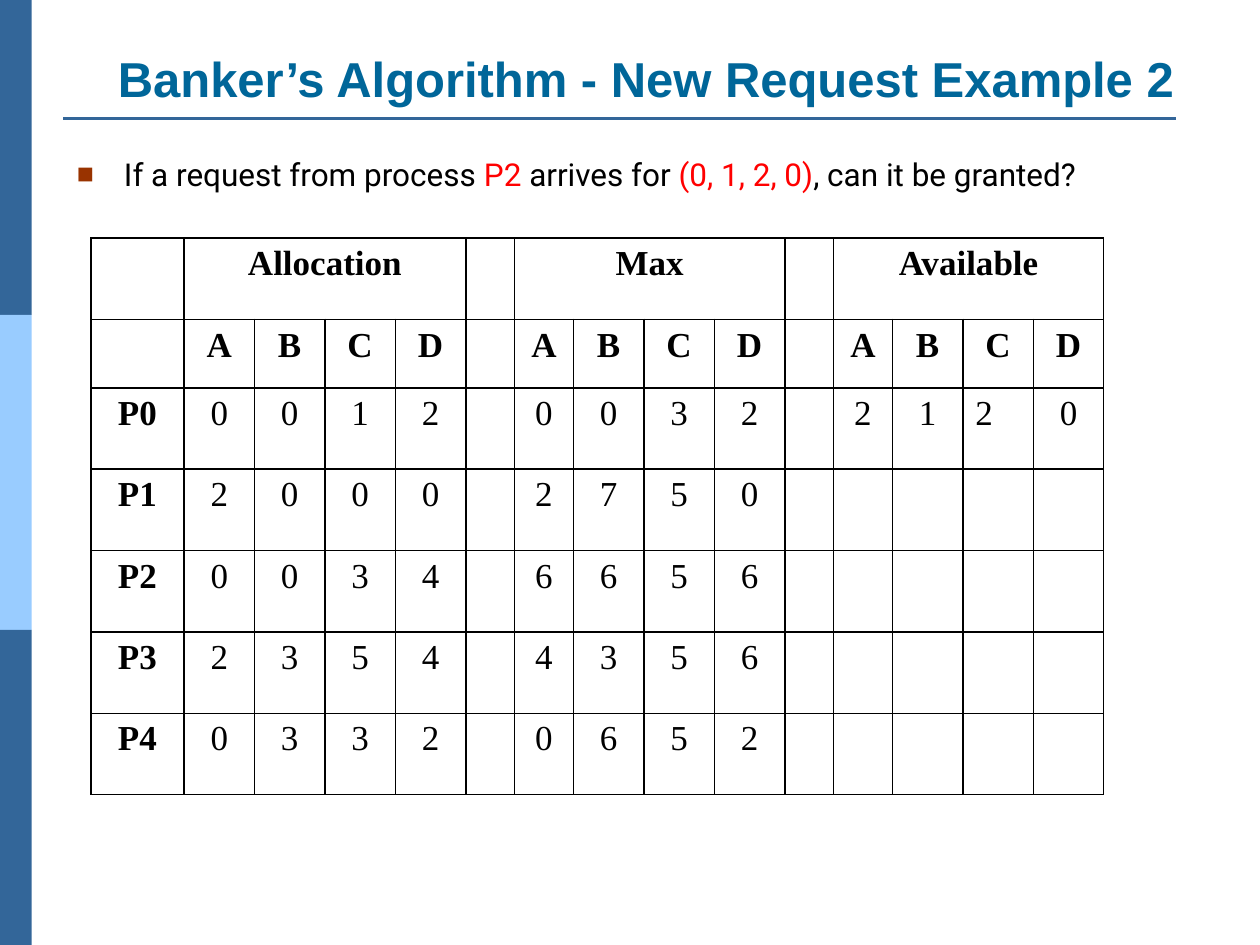
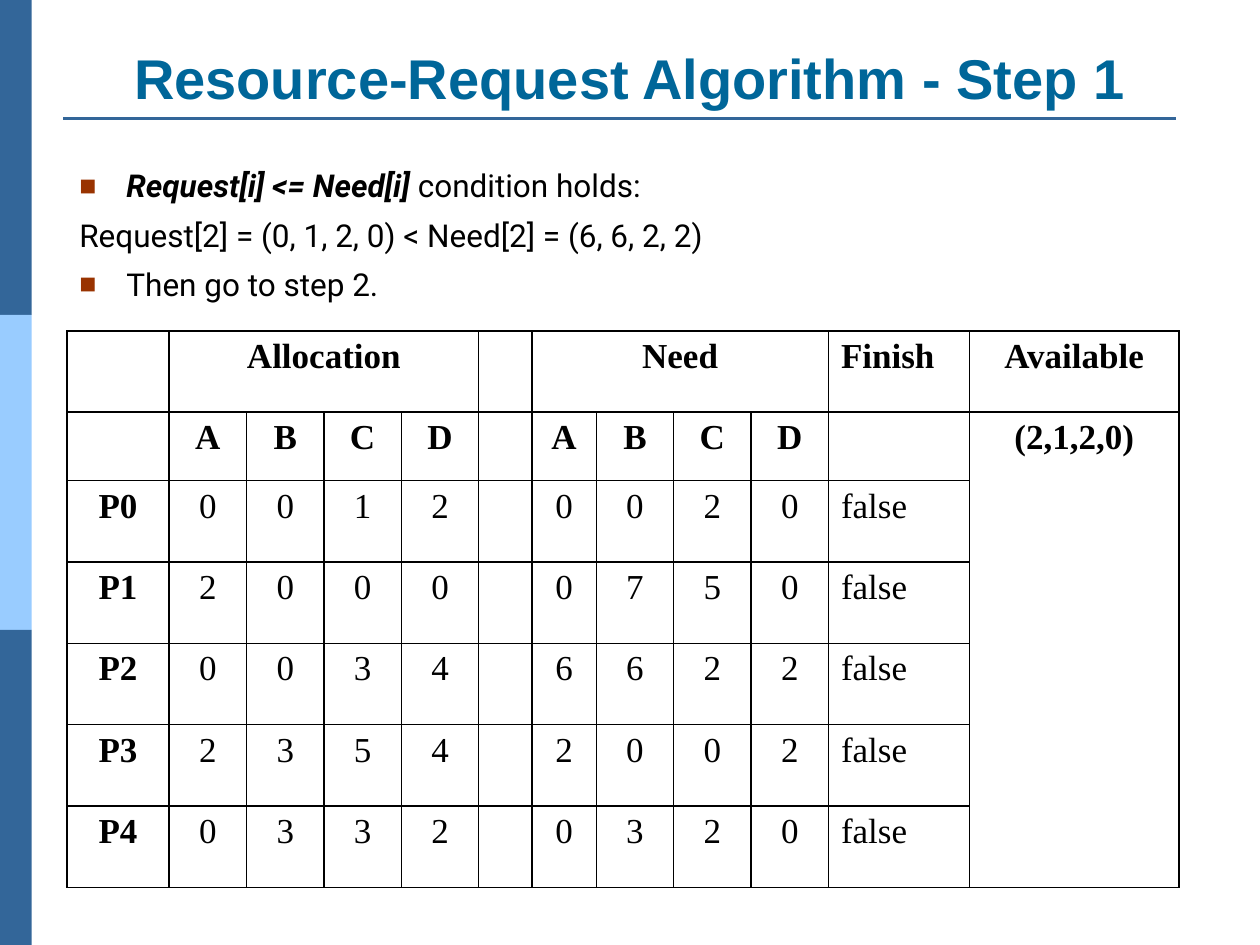
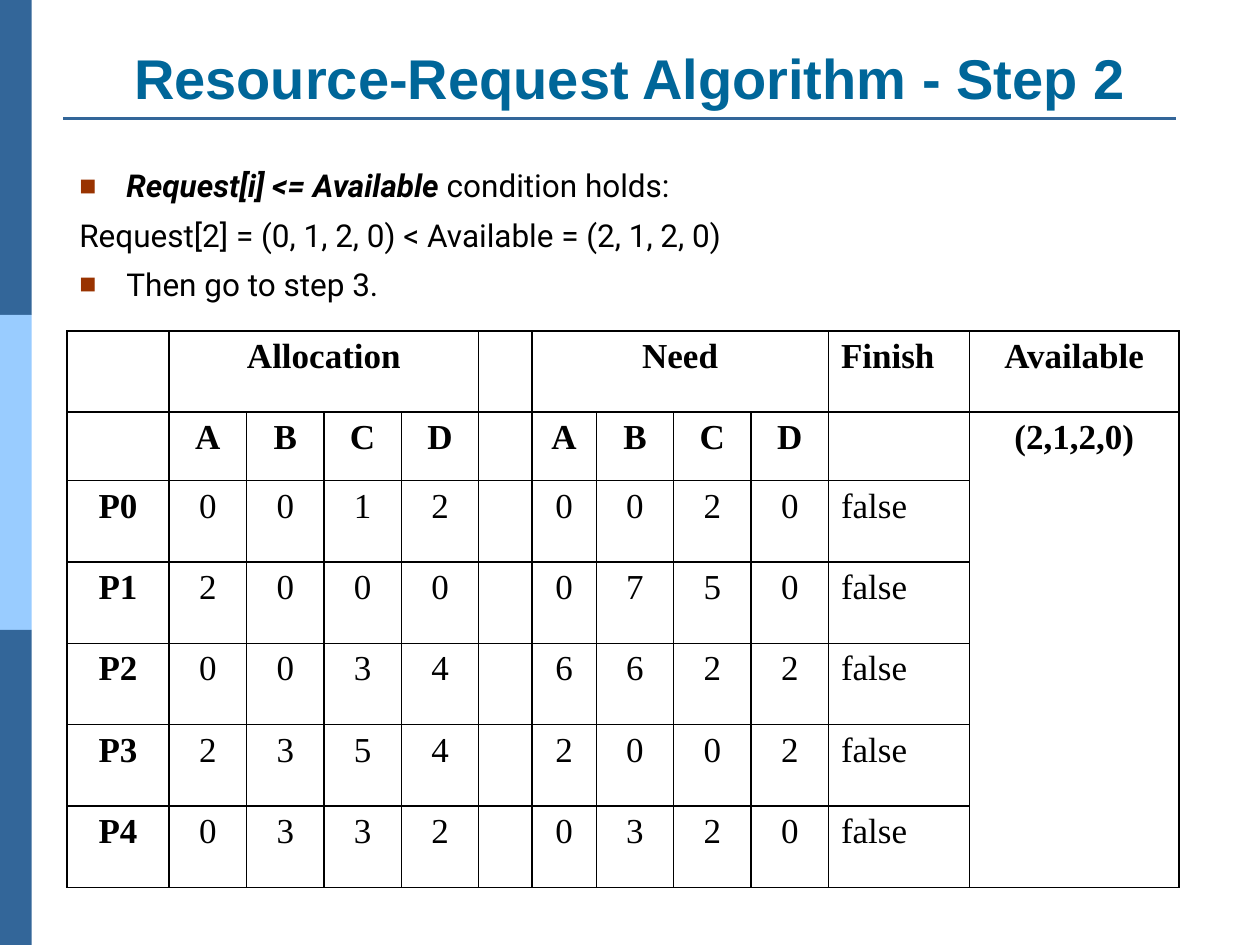
from lxml import etree
from pptx import Presentation
from pptx import util as u
from pptx.dml.color import RGBColor
from pptx.enum import shapes, text
from pptx.oxml import ns


class Theme:
    band = RGBColor.from_string("336699")
    band_light = RGBColor.from_string("99CCFF")
    title = RGBColor.from_string("006699")
    ink = RGBColor.from_string("000000")
    accent = RGBColor.from_string("FF0000")
    bullet, grid = "993300", "000000"
    title_font, body_font, table_font = "Arial", "Roboto", "Times New Roman"
    body_size, table_size = u.Pt(18), u.Pt(20)
    space_before = u.Pt(6.5)


def sub(parent, tag, **attrs):
    return etree.SubElement(parent, ns.qn(tag), attrs)


def add_run(p, words, color=Theme.ink, **values):
    r = p.add_run()
    r.text = words
    r.font.color.rgb = color
    for name, value in values.items():
        setattr(r.font, name, value)


BODY = {"name": Theme.body_font, "size": Theme.body_size}
RED = {"color": Theme.accent}
STRONG = {"bold": True, "italic": True}

request_table = {
    "at": (1.83, 4.8),
    "cols": [1.88] + [1.42] * 4 + ([0.98, 1.19] + [1.42] * 3) * 2,
    "spans": [(0, 1, 0, 4), (0, 6, 0, 9), (0, 11, 0, 14)],
    "left": [(2, 13)],
    "rows": [
        "|Allocation|||||Max|||||Available|||",
        "|A|B|C|D||A|B|C|D||A|B|C|D",
        "P0|0|0|1|2||0|0|3|2||2|1|2|0",
        "P1|2|0|0|0||2|7|5|0|||||",
        "P2|0|0|3|4||6|6|5|6|||||",
        "P3|2|3|5|4||4|3|5|6|||||",
        "P4|0|3|3|2||0|6|5|2|||||",
    ],
}
need_table = {
    "at": (1.35, 6.67),
    "cols": [2.06] + [1.56] * 4 + [1.07, 1.3] + [1.56] * 3 + [2.84, 4.23],
    "spans": [(0, 1, 0, 4), (0, 6, 0, 9), (1, 11, 6, 11)],
    "left": [(row, 10) for row in range(7)],
    "rows": [
        "|Allocation|||||Need||||Finish|Available",
        "|A|B|C|D||A|B|C|D||(2,1,2,0)",
        "P0|0|0|1|2||0|0|2|0|false|",
        "P1|2|0|0|0||0|7|5|0|false|",
        "P2|0|0|3|4||6|6|2|2|false|",
        "P3|2|3|5|4||2|0|0|2|false|",
        "P4|0|3|3|2||0|3|2|0|false|",
    ],
}

slides = [{
    "title": "Banker’s Algorithm - New Request Example 2",
    "title_size": 28,
    "title_box": (1.3, 0.43, 23.44, 1.85),
    "body_box": (1.3, 3, 23.98, 1.27),
    "body": [(True, [("If a request from process ", {}), ("P2 ", RED), ("arrives for ", {}),
                     ("(0, 1, 2, 0)", RED), (", can it be granted?", {})])],
    "table": request_table,
}]
for step, limit, comparison in [
    (1, "Need[i]", "Need[2] = (6, 6, 2, 2)"),
    (2, "Available", "Available = (2, 1, 2, 0)"),
]:
    slides.append({
        "title": f"Resource-Request Algorithm - Step {step}",
        "title_size": 32,
        "title_box": (1.27, 0.76, 22.86, 1.6),
        "body_box": (1.35, 3.23, 22.86, 12.57),
        "body": [
            (True, [(f"Request[i] <= {limit} ", STRONG), ("condition holds:", {})]),
            (False, [(f"Request[2] = (0, 1, 2, 0) < {comparison}", {})]),
            (True, [(f"Then go to step {step + 1}.", {})]),
        ],
        "table": need_table,
    })

prs = Presentation()
prs.slide_width, prs.slide_height = u.Cm(25.4), u.Cm(19.05)

for content in slides:
    s = prs.slides.add_slide(prs.slide_layouts[6])

    # Side bands and title rule
    for i, color in enumerate([Theme.band, Theme.band_light, Theme.band]):
        sp = s.shapes.add_shape(shapes.MSO_SHAPE.RECTANGLE, 0, u.Cm(6.35 * i), u.Cm(0.64), u.Cm(6.35))
        sp.shadow.inherit = False
        sp.fill.solid()
        sp.fill.fore_color.rgb = color
        sp.line.fill.background()
    rule = s.shapes.add_connector(shapes.MSO_CONNECTOR.STRAIGHT, u.Cm(1.27), u.Cm(2.39), u.Cm(23.7), u.Cm(2.39))
    rule.line.color.rgb = Theme.band
    rule.line.width = u.Pt(1.5)
    sub(rule._element.spPr, "a:effectLst")

    # Title
    tf = s.shapes.add_textbox(*map(u.Cm, content["title_box"])).text_frame
    tf.word_wrap = True
    tf.vertical_anchor = text.MSO_ANCHOR.BOTTOM
    p = tf.paragraphs[0]
    p.alignment = text.PP_ALIGN.CENTER
    add_run(p, content["title"], Theme.title, name=Theme.title_font, size=u.Pt(content["title_size"]), bold=True)

    # Body text
    tf = s.shapes.add_textbox(*map(u.Cm, content["body_box"])).text_frame
    tf.word_wrap = True
    for i, (bulleted, runs) in enumerate(content["body"]):
        p = tf.add_paragraph() if i else tf.paragraphs[0]
        if i:
            p.space_before = Theme.space_before
        if bulleted:
            pPr = p._p.get_or_add_pPr()
            pPr.set("marL", str(u.Cm(0.95)))
            pPr.set("indent", str(-u.Cm(0.95)))
            sub(sub(pPr, "a:buClr"), "a:srgbClr", val=Theme.bullet)
            sub(pPr, "a:buSzPct", val="90000")
            sub(pPr, "a:buFont", typeface="Arial")
            sub(pPr, "a:buChar", char="■")
        for words, style in runs:
            add_run(p, words, **BODY, **style)

    # Table
    grid = content["table"]
    rows, cols = [line.split("|") for line in grid["rows"]], grid["cols"]
    heights = [1.64, 1.38] + [1.64] * 5
    table = s.shapes.add_table(len(rows), len(cols), *map(u.Cm, (*grid["at"], sum(cols), sum(heights)))).table
    table.first_row = table.horz_banding = False
    for column, width in zip(table.columns, cols):
        column.width = u.Cm(width)
    for row, height in zip(table.rows, heights):
        row.height = u.Cm(height)
    for top, left, bottom, right in grid["spans"]:
        table.cell(top, left).merge(table.cell(bottom, right))
    for i, values in enumerate(rows):
        for j, value in enumerate(values):
            cell = table.cell(i, j)
            tcPr = cell._tc.get_or_add_tcPr()
            for side in "LRTB":
                border = sub(tcPr, f"a:ln{side}", w=str(u.Pt(1)))
                sub(sub(border, "a:solidFill"), "a:srgbClr", val=Theme.grid)
            cell.fill.background()
            if value:
                p = cell.text_frame.paragraphs[0]
                p.alignment = text.PP_ALIGN.LEFT if (i, j) in grid["left"] else text.PP_ALIGN.CENTER
                add_run(p, value, name=Theme.table_font, size=Theme.table_size, bold=i < 2 or j == 0)

prs.save("out.pptx")
